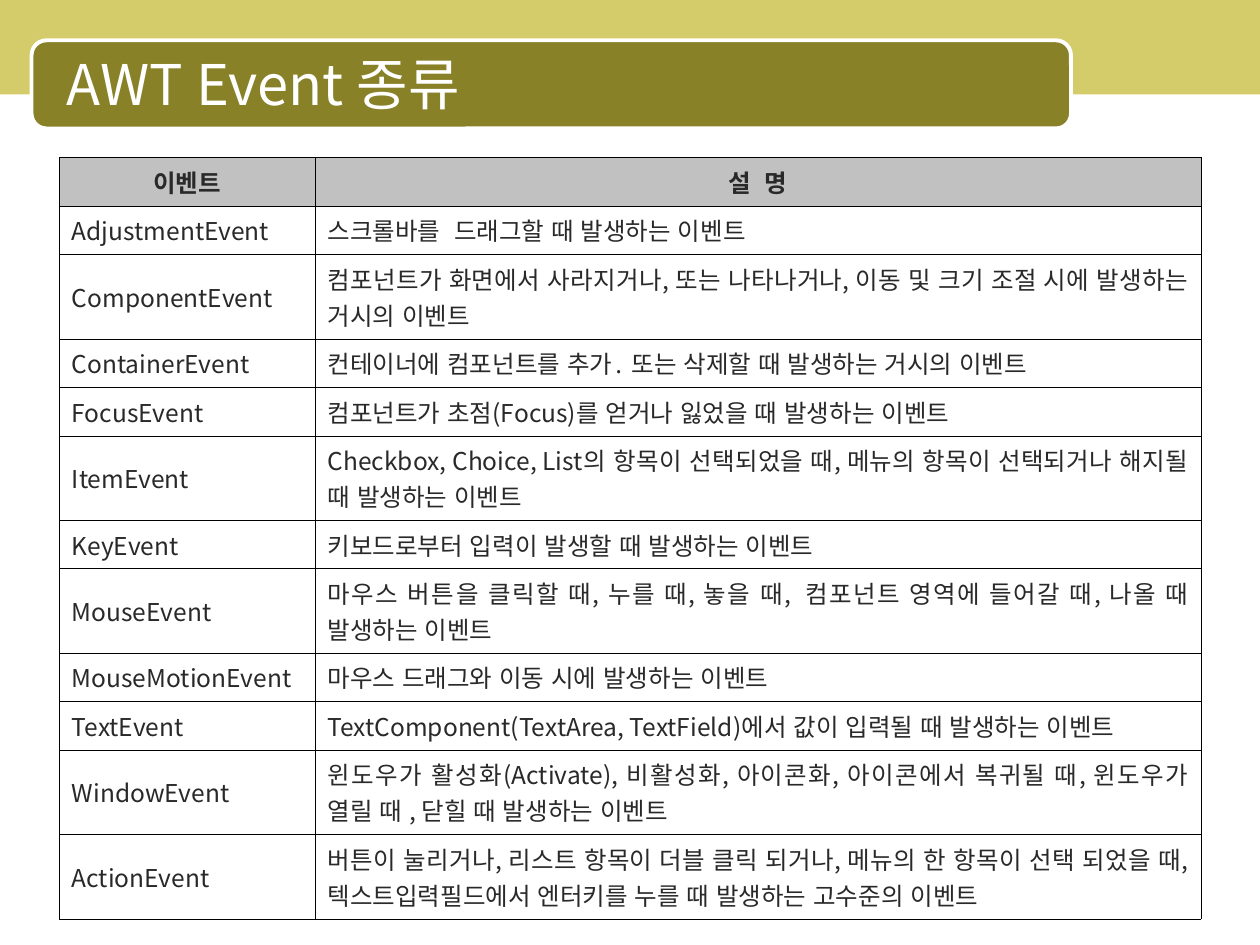
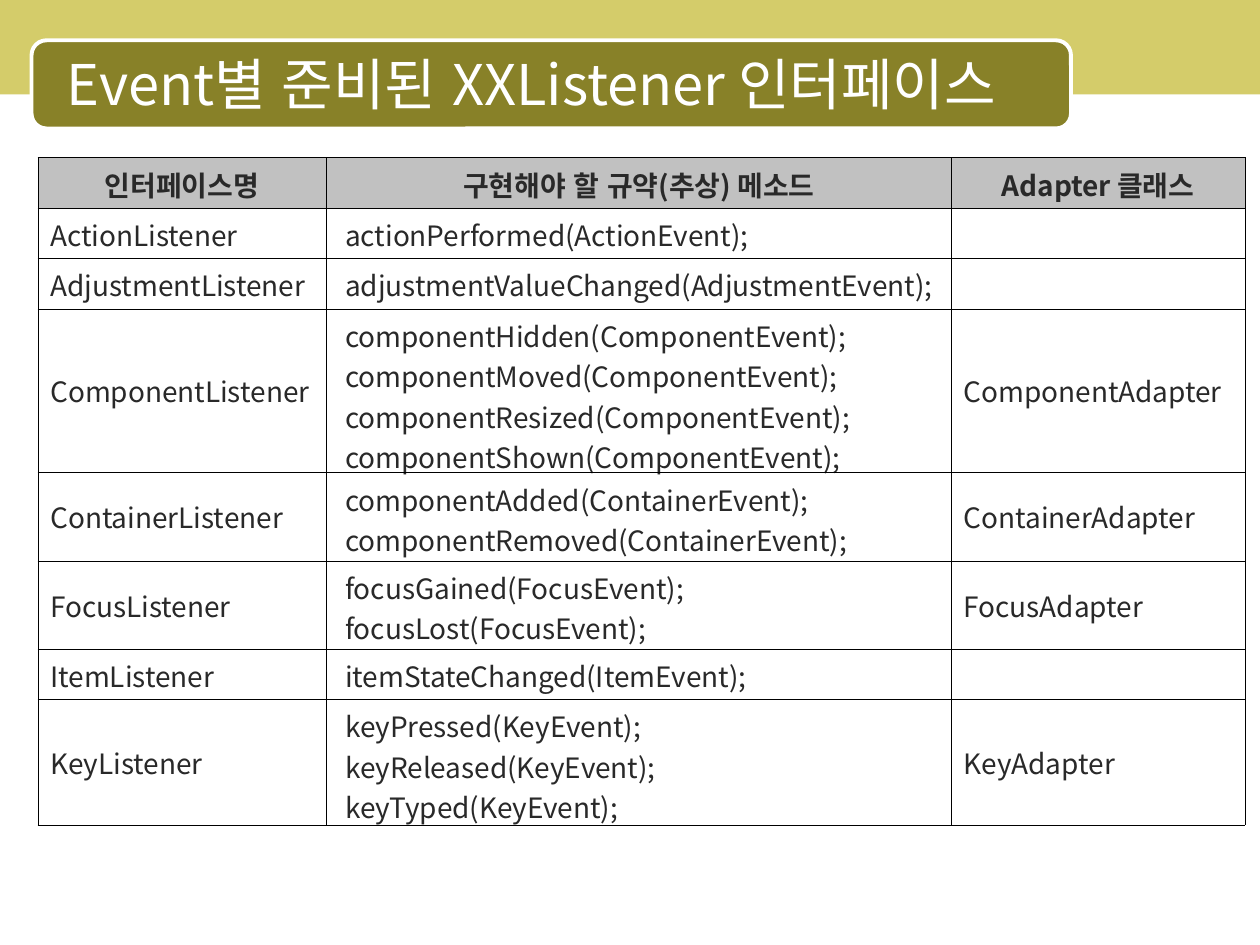
from lxml import etree
from pptx import Presentation
from pptx import util as u
from pptx.dml import color
from pptx.enum import lang, shapes, text
from pptx.oxml import ns

FONT = "Noto Sans CJK KR"
SAND, OLIVE, WHITE = "D4CC6A", "888128", "FFFFFF"
HEADER_GREY, INK, RULE = "C1C1C1", "292929", "000000"
COLUMNS, ROWS = 100, 75
CELL_PADDING = 1

deck = Presentation()
deck.slide_width, deck.slide_height = u.Inches(10), u.Inches(7.5)


def across(columns):
    """Turn grid columns into a length."""
    return round(deck.slide_width * columns / COLUMNS)


def down(rows):
    """Turn grid rows into a length."""
    return round(deck.slide_height * rows / ROWS)


def place(box):
    """Turn a grid box into left, top, width and height."""
    left, top, width, height = box
    return across(left), down(top), across(width), down(height)


def rgb(hex_string):
    """Turn a hex string into a colour."""
    return color.RGBColor.from_string(hex_string)


def write(paragraph, words, size, hue, bold=False):
    """Add one styled run, or size the empty paragraph."""
    if not words:
        etree.SubElement(paragraph._p, ns.qn("a:endParaRPr"), sz=str(size * 100))
        return
    run = paragraph.add_run()
    run.text = words
    font = run.font
    font.name, font.size, font.bold = FONT, u.Pt(size), bold
    font.color.rgb = rgb(hue)
    font.language_id = lang.MSO_LANGUAGE_ID.KOREAN
    east_asian = etree.Element(ns.qn("a:ea"), typeface=FONT)
    run._r.rPr.find(ns.qn("a:latin")).addnext(east_asian)


def draw_panel(slide, preset, box, fill):
    """Draw one flat panel and return it."""
    panel = slide.shapes.add_shape(preset, *place(box))
    panel.shadow.inherit = False
    panel.fill.solid()
    panel.fill.fore_color.rgb = rgb(fill)
    panel.line.fill.background()
    return panel


def draw_heading(slide, words, box):
    """Draw the top band, the rounded plate and the title on it."""
    left, top, width, height = box
    draw_panel(slide, shapes.MSO_SHAPE.RECTANGLE, (-0.1, 0, COLUMNS + 0.2, 7.5), SAND)
    plate = draw_panel(slide, shapes.MSO_SHAPE.ROUNDED_RECTANGLE, box, OLIVE)
    plate.adjustments[0] = 0.17
    plate.line.color.rgb = rgb(WHITE)
    plate.line.width = u.Pt(2.24)
    title_box = left + 0.8, top + 0.3, width, height - 0.8
    frame = slide.shapes.add_textbox(*place(title_box)).text_frame
    frame.word_wrap = True
    frame.vertical_anchor = text.MSO_ANCHOR.MIDDLE
    frame.margin_left = across(2)
    write(frame.paragraphs[0], words, 32, WHITE)


def rule_cell(cell):
    """Put a hairline on all four sides of a cell."""
    properties = cell._tc.get_or_add_tcPr()
    for order, side in enumerate(("lnL", "lnR", "lnT", "lnB")):
        line = etree.Element(ns.qn("a:" + side), w=str(u.Pt(0.06)))
        fill = etree.SubElement(line, ns.qn("a:solidFill"))
        etree.SubElement(fill, ns.qn("a:srgbClr"), val=RULE)
        properties.insert(order, line)


def fill_cell(cell, words, size, header, indent):
    """Style one cell and write its lines as paragraphs."""
    cell.vertical_anchor = text.MSO_ANCHOR.MIDDLE
    cell.margin_left = across(CELL_PADDING + indent)
    cell.margin_right = across(CELL_PADDING)
    cell.margin_top = cell.margin_bottom = down(CELL_PADDING / 2)
    if header:
        cell.fill.solid()
        cell.fill.fore_color.rgb = rgb(HEADER_GREY)
    else:
        cell.fill.background()
    rule_cell(cell)
    frame = cell.text_frame
    for number, line in enumerate(words.split("\n")):
        paragraph = frame.add_paragraph() if number else frame.paragraphs[0]
        paragraph.alignment = text.PP_ALIGN.CENTER if header else text.PP_ALIGN.JUSTIFY
        write(paragraph, line, size, INK, header)


def draw_table(slide, origin, widths, header, entries, size, line_height, indents):
    """Draw a ruled table whose row heights follow the line counts."""
    records = [(1, *header), *entries]
    heights = [CELL_PADDING + line_height * record[0] for record in records]
    box = (*origin, sum(widths), sum(heights))
    table = slide.shapes.add_table(len(records), len(widths), *place(box)).table
    table.horz_banding = False
    table.first_row = False
    for column, width in zip(table.columns, widths):
        column.width = across(width)
    for r, (height, record) in enumerate(zip(heights, records)):
        table.rows[r].height = down(height)
        for c, words in enumerate(record[1:]):
            fill_cell(table.cell(r, c), words, size, r == 0, indents[c] if r else 0)


def add_page(title):
    """Add a blank slide with the shared heading."""
    slide = deck.slides.add_slide(deck.slide_layouts[6])
    draw_heading(slide, title, (2.5, 3.2, 82.5, 7))
    return slide


EVENTS = [
    (1, "AdjustmentEvent", "스크롤바를  드래그할 때 발생하는 이벤트"),
    (2, "ComponentEvent",
     "컴포넌트가 화면에서 사라지거나, 또는 나타나거나, 이동 및 크기 조절 시에 발생하는 거시의 이벤트"),
    (1, "ContainerEvent", "컨테이너에 컴포넌트를 추가\u2024 또는 삭제할 때 발생하는 거시의 이벤트"),
    (1, "FocusEvent", "컴포넌트가 초점(Focus)를 얻거나 잃었을 때 발생하는 이벤트"),
    (2, "ItemEvent",
     "Checkbox, Choice, List의 항목이 선택되었을 때, 메뉴의 항목이 선택되거나 해지될 때 발생하는 이벤트"),
    (1, "KeyEvent", "키보드로부터 입력이 발생할 때 발생하는 이벤트"),
    (2, "MouseEvent",
     "마우스 버튼을 클릭할 때, 누를 때, 놓을 때,\u00a0 컴포넌트 영역에 들어갈 때, 나올 때 발생하는 이벤트"),
    (1, "MouseMotionEvent", "마우스 드래그와 이동 시에 발생하는 이벤트"),
    (1, "TextEvent", "TextComponent(TextArea, TextField)에서 값이 입력될 때 발생하는 이벤트"),
    (2, "WindowEvent",
     "윈도우가 활성화(Activate), 비활성화, 아이콘화, 아이콘에서 복귀될 때, "
     "윈도우가 열릴 때 , 닫힐 때 발생하는 이벤트"),
    (2, "ActionEvent",
     "버튼이 눌리거나, 리스트 항목이 더블 클릭 되거나, 메뉴의 한 항목이 선택 되었을 때, "
     "텍스트입력필드에서 엔터키를 누를 때 발생하는 고수준의 이벤트"),
]

LISTENERS = [
    ("Action", "ActionEvent", ["actionPerformed"], False),
    ("Adjustment", "AdjustmentEvent", ["adjustmentValueChanged"], False),
    ("Component", "ComponentEvent",
     ["componentHidden", "componentMoved", "componentResized", "componentShown"], True),
    ("Container", "ContainerEvent", ["componentAdded", "componentRemoved"], True),
    ("Focus", "FocusEvent", ["focusGained", "focusLost"], True),
    ("Item", "ItemEvent", ["itemStateChanged"], False),
    ("Key", "KeyEvent", ["keyPressed", "keyReleased", "keyTyped"], True),
]


def listener_entry(subject, event, methods, has_adapter):
    """Spell out one listener row: line count, interface, methods, adapter."""
    signatures = "\n".join(f"{method}({event});" for method in methods)
    adapter = subject + "Adapter" if has_adapter else ""
    return len(methods), subject + "Listener", signatures, adapter


draw_table(add_page("AWT Event 종류"), (4.7, 12.5), (20.3, 70.3),
           ("이벤트", "설  명"), EVENTS, 14, 2.85, (0, 0))
draw_table(add_page("Event별 준비된 XXListener 인터페이스"), (3, 12.5), (22.9, 49.6, 23.3),
           ("인터페이스명", "구현해야 할 규약(추상) 메소드", "Adapter 클래스"),
           [listener_entry(*listener) for listener in LISTENERS], 16, 3, (0, 0.5, 0))

deck.save("out.pptx")
